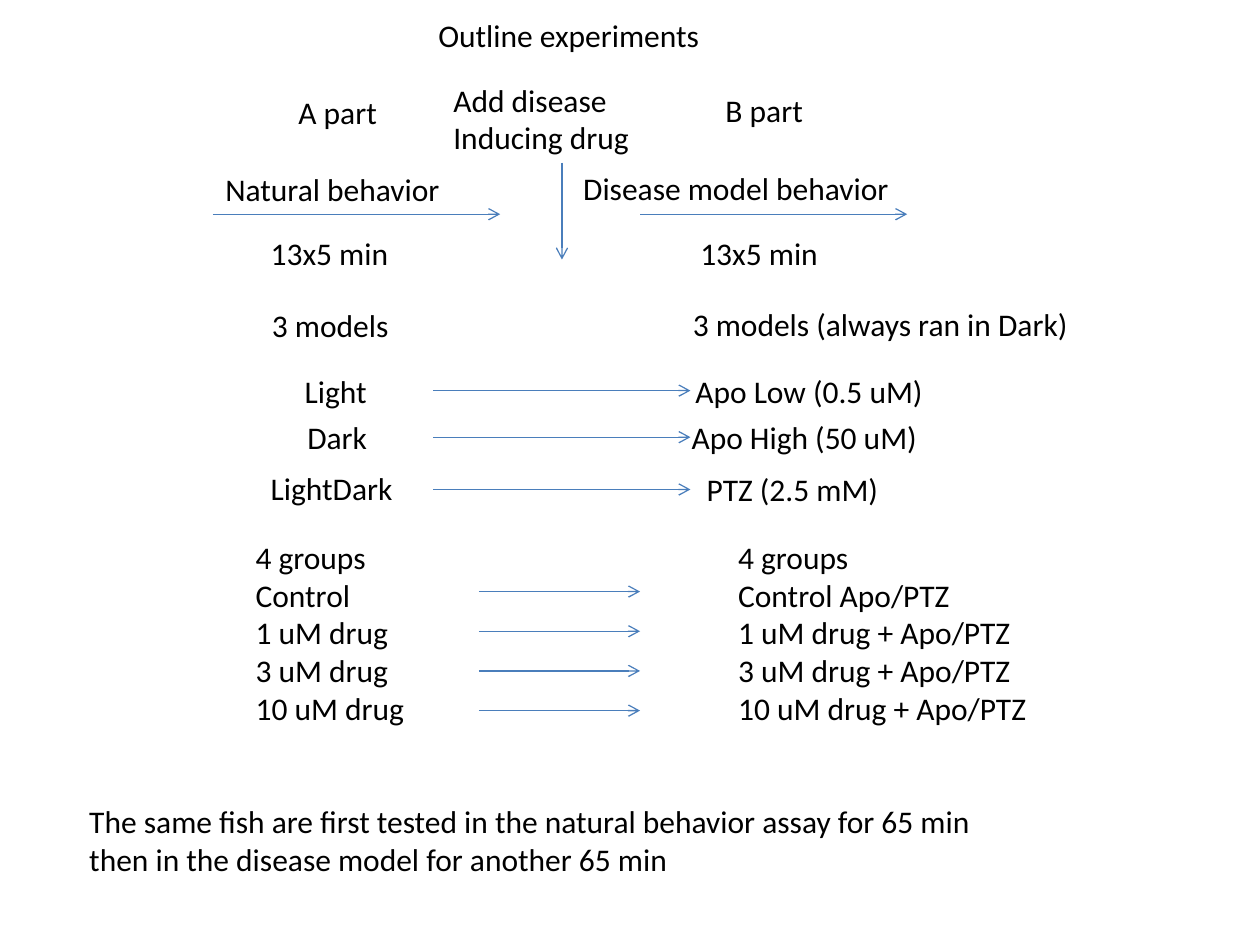
from dataclasses import dataclass

from lxml.etree import SubElement
from pptx import Presentation
from pptx.dml.color import RGBColor
from pptx.enum.shapes import MSO_CONNECTOR
from pptx.oxml.ns import qn
from pptx.util import Inches, Pt

# The slide is a grid of 100 columns and 75 rows.
COLS, ROWS = 100, 75
FONT, SIZE = "Calibri", 18
INK, BLUE = "000000", "4A7EBB"

deck = Presentation()
deck.slide_width, deck.slide_height = Inches(10), Inches(7.5)
slide = deck.slides.add_slide(deck.slide_layouts[6])


@dataclass
class Label:
    """Lines of text whose box starts at a column and row."""
    text: str
    col: float
    row: float
    wide: float


@dataclass
class Arrow:
    """A straight arrow that runs across and down from its start."""
    col: float
    row: float
    across: float = 0
    down: float = 0


def color(code: str) -> RGBColor:
    """Turn a hex string into a colour."""
    return RGBColor.from_string(code)


def horiz(col: float) -> int:
    """Length of a number of columns."""
    return round(deck.slide_width * col / COLS)


def vert(row: float) -> int:
    """Length of a number of rows."""
    return round(deck.slide_height * row / ROWS)


def write(label: Label) -> None:
    """Draw a label, one paragraph a line."""
    high = 1 + 3 * len(label.text.split("\n"))
    box = slide.shapes.add_textbox(horiz(label.col), vert(label.row),
                                   horiz(label.wide), vert(high))
    frame = box.text_frame
    frame.word_wrap = True
    frame.text = label.text
    for para in frame.paragraphs:
        for run in para.runs:
            run.font.name, run.font.size = FONT, Pt(SIZE)
            run.font.color.rgb = color(INK)


def point(arrow: Arrow) -> None:
    """Draw an arrow with an open head and no shadow."""
    line = slide.shapes.add_connector(
        MSO_CONNECTOR.STRAIGHT, horiz(arrow.col), vert(arrow.row),
        horiz(arrow.col + arrow.across), vert(arrow.row + arrow.down))
    line.line.color.rgb = color(BLUE)
    line.line.width = Pt(0.75)
    SubElement(line.line._get_or_add_ln(), qn("a:tailEnd"), type="arrow")
    SubElement(line._element.spPr, qn("a:effectLst"))


doses = ["1 uM drug", "3 uM drug", "10 uM drug"]
groups = ["4 groups", "Control", *doses]
mixed = ["4 groups", "Control Apo/PTZ", *(f"{dose} + Apo/PTZ" for dose in doses)]

labels = [
    Label("Outline experiments", 33.8, 0.8, 27.5),
    Label("Add disease\nInducing drug", 35, 5.9, 19.3),
    # A part
    Label("A part", 22.7, 6.9, 9.6),
    Label("Natural behavior", 16.9, 13, 23),
    Label("13x5 min", 20.5, 18.1, 13.7),
    Label("3 models", 20.6, 23.8, 13.4),
    Label("Light", 23.2, 29, 8.2),
    Label("Dark", 23.4, 32.7, 7.9),
    Label("LightDark", 20.5, 36.7, 14.2),
    Label("\n".join(groups), 19.3, 42.2, 16.2),
    # B part
    Label("B part", 56.6, 6.7, 9.6),
    Label("Disease model behavior", 45.3, 12.9, 32.2),
    Label("13x5 min", 54.6, 18.1, 13.7),
    Label("3 models (always ran in Dark)", 54, 23.7, 39.6),
    Label("Apo Low (0.5 uM)", 54.2, 29, 23.8),
    Label("Apo High (50 uM)", 53.9, 32.7, 23.8),
    Label("PTZ (2.5 mM)", 55.1, 36.8, 18.8),
    Label("\n".join(mixed), 57.6, 42.2, 30.4),
    Label("The same fish are first tested in the natural behavior assay for 65 min\n"
          "then in the disease model for another 65 min", 6.1, 63.2, 89.9),
]

arrows = [
    Arrow(16.9, 17, across=22.8),
    Arrow(50.8, 17, across=21.2),
    Arrow(44.6, 12.9, down=7.7),
    *(Arrow(34.4, row, across=20.4) for row in (31, 34.7, 38.85)),
    *(Arrow(38, 46.95 + 3.15 * step, across=12.8) for step in range(4)),
]

for label in labels:
    write(label)
for arrow in arrows:
    point(arrow)

deck.save("out.pptx")
